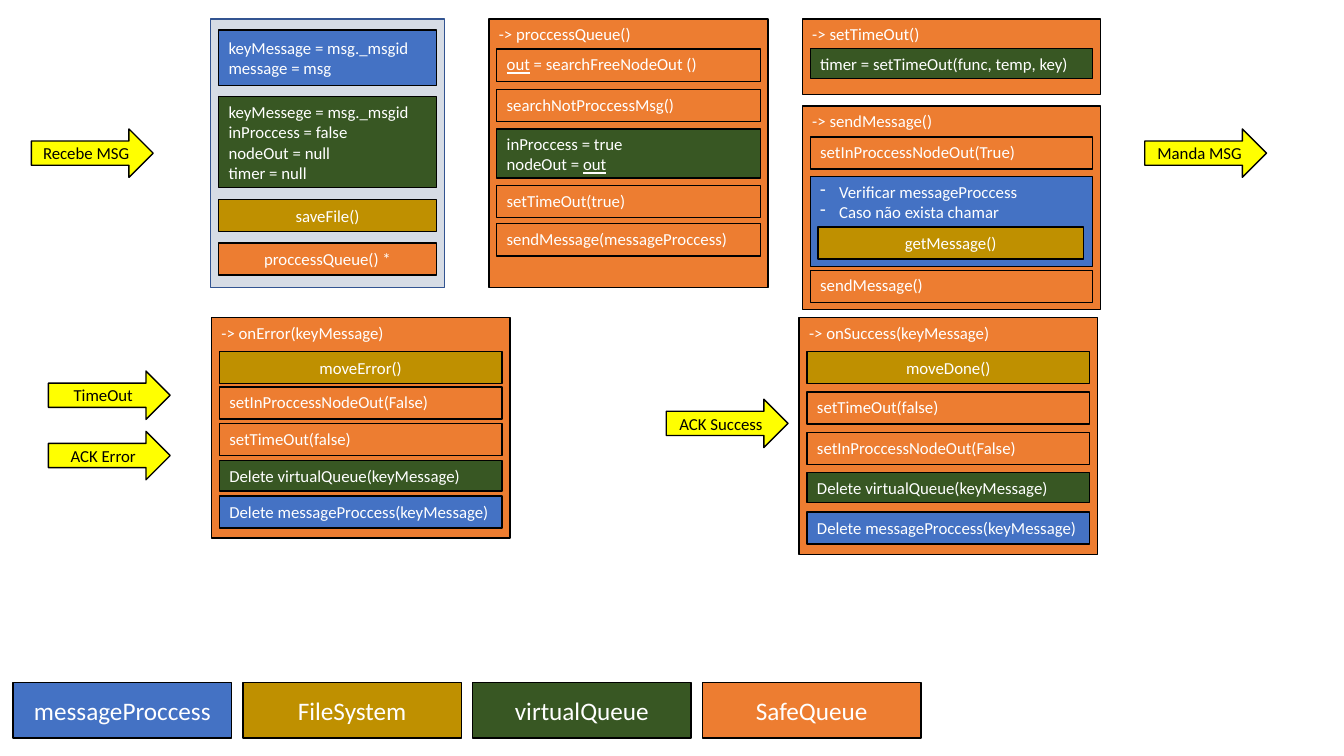
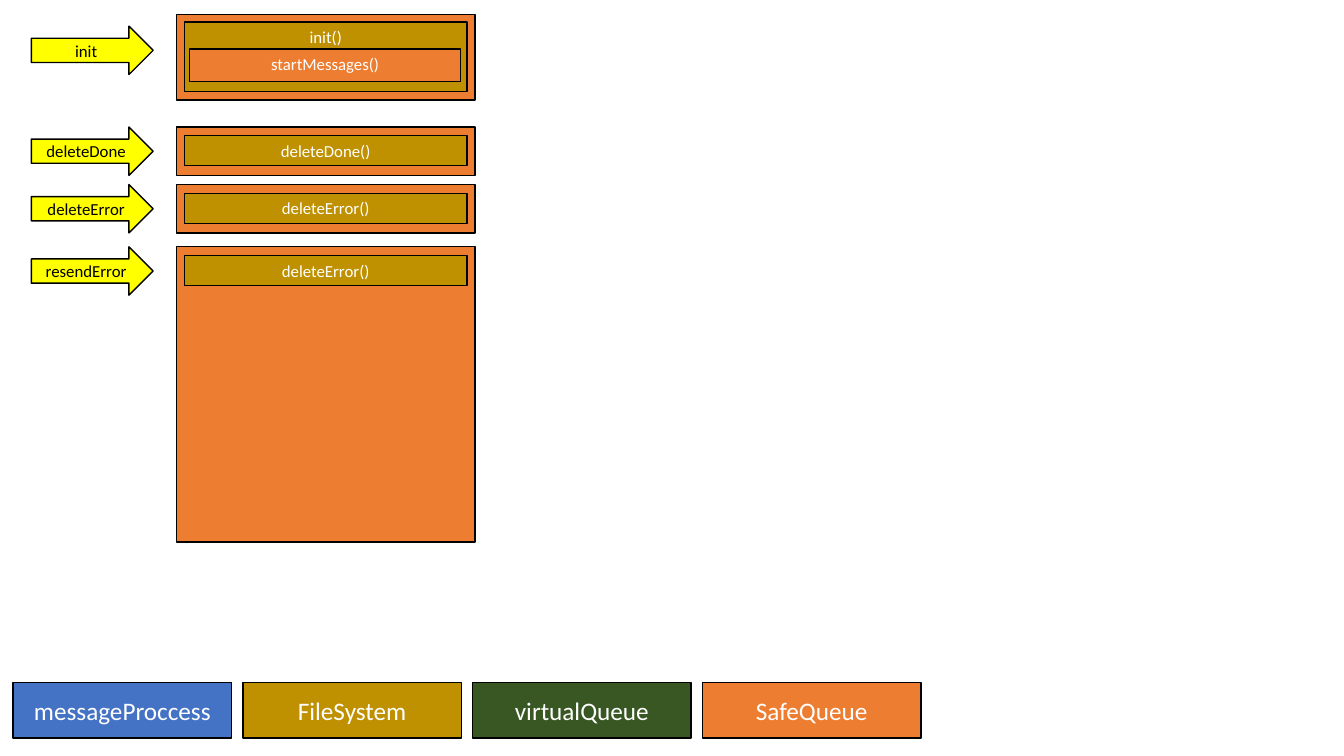
"""Build two slides that map message events to the queue calls they trigger."""
from dataclasses import dataclass

from lxml import etree
from pptx import Presentation
from pptx.dml.color import RGBColor
from pptx.enum.shapes import MSO_SHAPE
from pptx.enum.text import MSO_ANCHOR, PP_ALIGN
from pptx.oxml.ns import qn
from pptx.util import Cm, Pt

RECTANGLE, ARROW = MSO_SHAPE.RECTANGLE, MSO_SHAPE.RIGHT_ARROW
LEFT, CENTER = PP_ALIGN.LEFT, PP_ALIGN.CENTER
TOP, MIDDLE = MSO_ANCHOR.TOP, MSO_ANCHOR.MIDDLE
BLANK_LAYOUT = 6


@dataclass(frozen=True)
class Theme:
    """Colours and type sizes shared by both slides."""
    message: str = "4472C4"
    files: str = "BF9000"
    virtual: str = "385723"
    safe: str = "ED7D31"
    event: str = "FFFF00"
    intake: str = "D6DCE5"
    intake_line: str = "325491"
    line: str = "000000"
    dark_text: str = "000000"
    light_text: str = "FFFFFF"
    font: str = "Calibri"
    body: int = 12
    legend: int = 18
    line_width: int = 1


THEME = Theme()
STEP_HEIGHT, LOW_STEP = 0.81, 0.76
STEP_INSET = 0.2
PANEL_WIDTH = 7.52
EVENT_WIDTH, EVENT_HEIGHT = 3.07, 1.22


@dataclass(frozen=True)
class Step:
    """One call or state change inside a panel."""
    top: float
    text: str
    fill: str = THEME.safe
    height: float = STEP_HEIGHT
    align: PP_ALIGN = LEFT
    anchor: MSO_ANCHOR = TOP
    dashed: bool = False


def file_step(top, text):
    """Return a centred step that belongs to the file system."""
    return Step(top, text, THEME.files, align=CENTER, anchor=MIDDLE)


def add_dash(paragraph):
    """Give a paragraph a hanging dash bullet."""
    properties = paragraph._p.get_or_add_pPr()
    properties.set("marL", str(Cm(0.48)))
    properties.set("indent", str(-Cm(0.48)))
    dash = etree.Element(qn("a:buChar"))
    dash.set("char", "-")
    properties.insert(0, dash)


def write_text(frame, text, size, color, align, dashed):
    """Write one paragraph per line, underlining the words between bars."""
    for index, line in enumerate(text.split("\n")):
        paragraph = frame.add_paragraph() if index else frame.paragraphs[0]
        paragraph.alignment = align
        paragraph.font.name = THEME.font
        paragraph.font.size = Pt(size)
        paragraph.font.color.rgb = RGBColor.from_string(color)
        for position, words in enumerate(line.split("|")):
            if words:
                run = paragraph.add_run()
                run.text = words
                if position % 2:
                    run.font.underline = True
        if dashed:
            add_dash(paragraph)


def add_block(slide, bounds, fill, text="", kind=RECTANGLE, size=THEME.body,
              color=THEME.light_text, line=THEME.line, align=CENTER,
              anchor=MIDDLE, dashed=False):
    """Draw a filled, outlined shape with optional text."""
    block = slide.shapes.add_shape(kind, *map(Cm, bounds))
    block.shadow.inherit = False
    block.fill.solid()
    block.fill.fore_color.rgb = RGBColor.from_string(fill)
    block.line.color.rgb = RGBColor.from_string(line)
    block.line.width = Pt(THEME.line_width)
    if text:
        block.text_frame.word_wrap = True
        block.text_frame.vertical_anchor = anchor
        write_text(block.text_frame, text, size, color, align, dashed)


def add_panel(slide, bounds, title, steps, fill=THEME.safe, line=THEME.line):
    """Draw a panel with its heading and the steps inside it."""
    add_block(slide, bounds, fill, title, line=line, align=LEFT, anchor=TOP)
    left, width = bounds[0] + STEP_INSET, bounds[2] - 2 * STEP_INSET
    for step in steps:
        add_block(slide, (left, step.top, width, step.height), step.fill, step.text,
                  align=step.align, anchor=step.anchor, dashed=step.dashed)


def add_event(slide, left, top, label):
    """Draw the arrow of an incoming or outgoing event."""
    add_block(slide, (left, top, EVENT_WIDTH, EVENT_HEIGHT), THEME.event, label,
              kind=ARROW, color=THEME.dark_text)


def add_legend(slide):
    """Draw the component key along the bottom."""
    components = (("messageProccess", THEME.message), ("FileSystem", THEME.files),
                  ("virtualQueue", THEME.virtual), ("SafeQueue", THEME.safe))
    for index, (component, fill) in enumerate(components):
        add_block(slide, (0.33 + 5.79 * index, 17.2, 5.51, 1.4), fill, component,
                  size=THEME.legend)


def cleanup_steps(file_call, tops):
    """Return the five steps that close a message after an answer."""
    file_top, first_top, second_top, virtual_top, message_top = tops
    calls = ["setInProccessNodeOut(False)", "setTimeOut(false)"]
    if file_call == "moveDone()":
        calls.reverse()
    return [
        file_step(file_top, file_call),
        Step(first_top, calls[0]),
        Step(second_top, calls[1]),
        Step(virtual_top, "Delete virtualQueue(keyMessage)", THEME.virtual, LOW_STEP),
        Step(message_top, "Delete messageProccess(keyMessage)", THEME.message,
             anchor=MIDDLE),
    ]


def build_message_flow(slide):
    """Fill the slide that follows a message from arrival to answer."""
    add_panel(slide, (5.31, 0.48, 5.89, 6.76), "", [
        Step(0.76, "keyMessage = msg._msgid\nmessage = msg", THEME.message, 1.4,
             anchor=MIDDLE),
        Step(2.44, "keyMessege = msg._msgid\ninProccess = false\n"
             "nodeOut = null\ntimer = null", THEME.virtual, 2.29, anchor=MIDDLE),
        file_step(5.03, "saveFile()"),
        Step(6.12, "proccessQueue() *", align=CENTER, anchor=MIDDLE),
    ], THEME.intake, THEME.intake_line)
    add_panel(slide, (12.32, 0.48, 7.04, 6.76), "-> proccessQueue()", [
        Step(1.24, "|out| = searchFreeNodeOut ()"),
        Step(2.26, "searchNotProccessMsg()"),
        Step(3.25, "inProccess = true\nnodeOut = |out|", THEME.virtual, 1.24),
        Step(4.67, "setTimeOut(true)"),
        Step(5.64, "sendMessage(messageProccess)"),
    ])
    add_panel(slide, (20.22, 0.48, PANEL_WIDTH, 1.9), "-> setTimeOut()", [
        Step(1.22, "timer = setTimeOut(func, temp, key)", THEME.virtual, LOW_STEP),
    ])
    add_panel(slide, (20.22, 2.67, PANEL_WIDTH, 5.13), "-> sendMessage()", [
        Step(3.45, "setInProccessNodeOut(True)"),
        Step(4.45, "Verificar messageProccess\nCaso não exista chamar",
             THEME.message, 2.26, dashed=True),
        Step(6.81, "sendMessage()"),
    ])
    add_block(slide, (20.62, 5.72, 6.68, STEP_HEIGHT), THEME.files, "getMessage()")
    add_panel(slide, (5.33, 8, PANEL_WIDTH, 5.56), "-> onError(keyMessage)",
              cleanup_steps("moveError()", (8.86, 9.75, 10.67, 11.61, 12.5)))
    add_panel(slide, (20.14, 8, PANEL_WIDTH, 5.97), "-> onSuccess(keyMessage)",
              cleanup_steps("moveDone()", (8.86, 9.88, 10.9, 11.91, 12.9)))
    for left, top, label in ((0.79, 3.25, "Recebe MSG"), (28.85, 3.25, "Manda MSG"),
                             (1.22, 9.35, "TimeOut"), (1.22, 10.87, "ACK Error"),
                             (16.79, 10.06, "ACK Success")):
        add_event(slide, left, top, label)


def build_commands(slide):
    """Fill the slide that pairs each command with its file call."""
    panel_left = 4.45
    add_event(slide, 0.79, 0.66, "init")
    add_panel(slide, (panel_left, 0.36, PANEL_WIDTH, 2.16), "", [
        Step(0.56, "init()", THEME.files, 1.75, CENTER)])
    add_block(slide, (4.78, 1.24, 6.83, STEP_HEIGHT), THEME.safe, "startMessages()",
              anchor=TOP)
    for command, call, top, height in (
            ("deleteDone", "deleteDone()", 3.2, EVENT_HEIGHT),
            ("deleteError", "deleteError()", 4.65, EVENT_HEIGHT),
            ("resendError", "deleteError()", 6.22, 7.44)):
        add_event(slide, 0.79, top, command)
        add_panel(slide, (panel_left, top, PANEL_WIDTH, height), "", [
            Step(top + 0.22, call, THEME.files, LOW_STEP, CENTER)])


def main():
    """Build both slides and save the deck."""
    deck = Presentation()
    deck.slide_width, deck.slide_height = Cm(33.87), Cm(19.05)
    for build in (build_message_flow, build_commands):
        slide = deck.slides.add_slide(deck.slide_layouts[BLANK_LAYOUT])
        build(slide)
        add_legend(slide)
    deck.save("out.pptx")


main()
